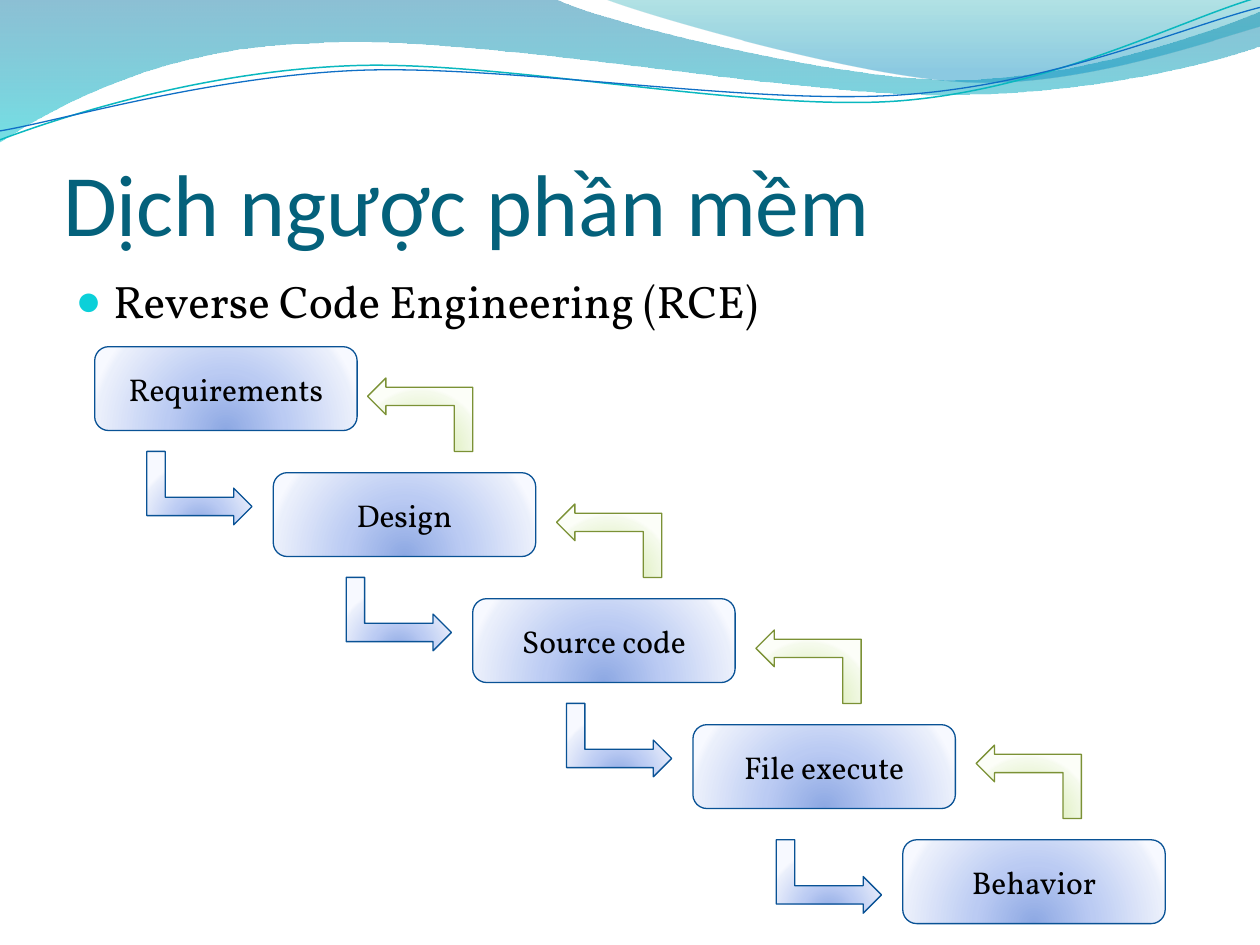
from dataclasses import dataclass
from itertools import pairwise

from lxml import etree
from pptx import Presentation
from pptx import util as u
from pptx.dml.color import RGBColor
from pptx.enum import shapes, text
from pptx.oxml.ns import nsdecls, qn

Point = tuple[float, float]


@dataclass(frozen=True)
class Stop:
    position: int
    color: str
    opacity: int = 100


@dataclass(frozen=True)
class Palette:
    line: str
    stops: tuple[Stop, ...]


@dataclass(frozen=True)
class Theme:
    heading_font: str = "Calibri"
    body_font: str = "Vollkorn"
    title_size: int = 50
    body_size: int = 26
    box_size: int = 18
    title: str = "04617B"
    body: str = "000000"
    bullet: str = "0BD0D9"
    forward: Palette = Palette("095295", (
        Stop(0, "8DA8E3"), Stop(43, "BBCBF3"), Stop(93, "EAEFFB"), Stop(100, "F7F9FF")))
    backward: Palette = Palette("7B9135", (
        Stop(0, "C9DF97"), Stop(43, "E0F0C1"), Stop(93, "F5FAEC"), Stop(100, "FCFEF8")))


@dataclass(frozen=True)
class Wave:
    """Outline in cm: a segment holds one point (line) or three (Bézier curve)."""
    start: Point
    segments: tuple[tuple[Point, ...], ...]
    stops: tuple[Stop, ...] = ()
    line: str = ""
    width: float = 0
    rotation: float = 0


@dataclass(frozen=True)
class Step:
    name: str
    left: float
    top: float
    forward_drop: float = 1.79
    backward_shift: float = 6.03


THEME = Theme()
BOX_WIDTH, BOX_HEIGHT = 5.29, 1.69
ARROW_WIDTH, ARROW_HEIGHT = 1.48, 2.12
ARROW_OFFSET = 2.23
LINEAR = '<a:lin ang="5400000" scaled="1"/>'
RADIAL = '<a:path path="circle"><a:fillToRect l="50000" t="130000" r="50000" b="-30000"/></a:path>'

STEPS = (
    Step("Requirements", 1.91, 6.99, backward_shift=5.82),
    Step("Design", 5.51, 9.53),
    Step("Source code", 9.53, 12.07),
    Step("File execute", 13.97, 14.61, forward_drop=2),
    Step("Behavior", 18.2, 16.93),
)

WAVES = (
    Wave((0, 0), (
        ((11.18, -0.03),),
        ((12.09, 0.43), (16.87, 1.6), (19.25, 1.6)),
        ((21.67, 1.6), (24.33, 0.66), (25.4, 0.23)),
        ((25.43, 0.91),),
        ((24.97, 1.12), (22.1, 1.93), (18.95, 1.91)),
        ((15.8, 1.91), (9.7, 0.71), (6.53, 0.86)),
        ((3.28, 0.91), (1.17, 2.11), (-0.03, 2.87)),
        ((0, 0),),
    ), stops=(Stop(0, "0074A1", 45), Stop(100, "00C6CF", 55))),
    Wave((12.17, -0.03), (
        ((12.93, 0.28), (17.32, 1.57), (19.53, 1.65)),
        ((21.74, 1.75), (24.41, 0.81), (25.4, 0.53)),
        ((25.4, 0),),
        ((12.17, -0.03),),
    ), stops=(Stop(0, "00A1A9", 30), Stop(80, "008BBF", 45))),
    Wave((-0.05, 2.22), (
        ((1.19, 1.82), (4.02, 1.04), (7.05, 1.06)),
        ((10.05, 1.07), (15.02, 2.37), (18.08, 2.29)),
        ((21.13, 2.2), (23.87, 0.91), (25.41, 0.55)),
    ), line="0AB8BF", width=0.85, rotation=357.3),
    Wave((-0.04, 2.04), (
        ((1.16, 1.9), (4.18, 1.15), (7.2, 1.16)),
        ((10.25, 1.18), (15.13, 2.25), (18.18, 2.17)),
        ((21.21, 2.1), (23.93, 1.06), (25.45, 0.75)),
    ), line="0F6FC6", width=0.75, rotation=357.3),
)


def set_gradient(shape, stops: tuple[Stop, ...], direction: str) -> None:
    stop_xml = "".join(
        f'<a:gs pos="{stop.position * 1000}"><a:srgbClr val="{stop.color}">'
        f'<a:alpha val="{stop.opacity * 1000}"/></a:srgbClr></a:gs>' for stop in stops)
    gradient = etree.fromstring(
        f'<a:gradFill {nsdecls("a")} rotWithShape="1"><a:gsLst>{stop_xml}</a:gsLst>'
        f'{direction}</a:gradFill>')
    shape.fill.background()
    properties = shape.element.spPr
    properties.replace(properties.find(qn("a:noFill")), gradient)


def set_line(shape, color: str, width: float) -> None:
    shape.line.color.rgb = RGBColor.from_string(color)
    shape.line.width = u.Pt(width)


def add_run(paragraph, content: str, font: str, size: int, color: str) -> None:
    run = paragraph.add_run()
    run.text = content
    run.font.name = font
    run.font.size = u.Pt(size)
    run.font.color.rgb = RGBColor.from_string(color)


def bend_segments(shape, segments: tuple[tuple[Point, ...], ...]) -> None:
    """Join each three straight lines of a curved segment into one Bézier curve."""
    lines = iter(list(shape.element.iter(qn("a:lnTo"))))
    for segment in segments:
        group = [next(lines) for _ in segment]
        if len(group) == 3:
            curve = etree.Element(qn("a:cubicBezTo"))
            group[0].addprevious(curve)
            for line in group:
                curve.append(line[0])
                line.getparent().remove(line)


def add_wave(slide, wave: Wave, layer: int) -> None:
    builder = slide.shapes.build_freeform(u.Cm(wave.start[0]), u.Cm(wave.start[1]))
    points = [(u.Cm(x), u.Cm(y)) for segment in wave.segments for x, y in segment]
    builder.add_line_segments(points, close=bool(wave.stops))
    shape = builder.convert_to_shape()
    bend_segments(shape, wave.segments)
    shape.rotation = wave.rotation
    shape.shadow.inherit = False
    if wave.stops:
        set_gradient(shape, wave.stops, LINEAR)
        shape.line.fill.background()
    else:
        shape.fill.background()
        set_line(shape, wave.line, wave.width)
    # The first two children of the shape tree hold its properties.
    slide.shapes.element.insert(2 + layer, shape.element)


def add_glossy_shape(slide, kind, left: float, top: float, width: float, height: float,
                     palette: Palette):
    shape = slide.shapes.add_shape(kind, u.Cm(left), u.Cm(top), u.Cm(width), u.Cm(height))
    shape.shadow.inherit = False
    set_gradient(shape, palette.stops, RADIAL)
    set_line(shape, palette.line, 0.75)
    return shape


def add_step(slide, step: Step) -> None:
    box = add_glossy_shape(slide, shapes.MSO_SHAPE.ROUNDED_RECTANGLE, step.left, step.top,
                           BOX_WIDTH, BOX_HEIGHT, THEME.forward)
    box.text_frame.vertical_anchor = text.MSO_ANCHOR.MIDDLE
    paragraph = box.text_frame.paragraphs[0]
    paragraph.alignment = text.PP_ALIGN.CENTER
    add_run(paragraph, step.name, THEME.body_font, THEME.box_size, THEME.body)


def add_arrow(slide, left: float, top: float, rotation: int, palette: Palette) -> None:
    arrow = add_glossy_shape(slide, shapes.MSO_SHAPE.BENT_UP_ARROW, left, top,
                             ARROW_WIDTH, ARROW_HEIGHT, palette)
    arrow.rotation = rotation


def place(placeholder, left: float, top: float, width: float, height: float):
    placeholder.left, placeholder.top = u.Cm(left), u.Cm(top)
    placeholder.width, placeholder.height = u.Cm(width), u.Cm(height)
    frame = placeholder.text_frame
    frame.auto_size = text.MSO_AUTO_SIZE.NONE
    return frame


def fill_title(slide) -> None:
    frame = place(slide.shapes.title, 1.27, 1.95, 22.86, 3.18)
    frame.margin_left = frame.margin_right = frame.margin_bottom = 0
    frame.vertical_anchor = text.MSO_ANCHOR.BOTTOM
    paragraph = frame.paragraphs[0]
    paragraph.alignment = text.PP_ALIGN.LEFT
    add_run(paragraph, "Dịch ngược phần mềm", THEME.heading_font, THEME.title_size, THEME.title)


def fill_body(slide) -> None:
    paragraph = place(slide.placeholders[1], 1.27, 5.38, 22.86, 12.19).paragraphs[0]
    add_run(paragraph, "Reverse Code Engineering (RCE)", THEME.body_font, THEME.body_size, THEME.body)
    properties = paragraph._p.get_or_add_pPr()
    properties.set("marL", str(u.Cm(0.76)))
    properties.set("indent", str(u.Cm(-0.76)))
    color = etree.SubElement(properties, qn("a:buClr"))
    etree.SubElement(color, qn("a:srgbClr"), val=THEME.bullet)
    etree.SubElement(properties, qn("a:buSzPct"), val="95000")
    etree.SubElement(properties, qn("a:buChar"), char="●")


def main() -> None:
    presentation = Presentation()
    presentation.slide_width, presentation.slide_height = u.Cm(25.4), u.Cm(19.05)
    slide = presentation.slides.add_slide(presentation.slide_layouts[1])
    for layer, wave in enumerate(WAVES):
        add_wave(slide, wave, layer)
    fill_title(slide)
    fill_body(slide)
    for step in STEPS:
        add_step(slide, step)
    for step, following in pairwise(STEPS):
        add_arrow(slide, following.left - ARROW_OFFSET, step.top + step.forward_drop, 90, THEME.forward)
        add_arrow(slide, step.left + step.backward_shift, following.top - ARROW_OFFSET, 270, THEME.backward)
    presentation.save("out.pptx")


if __name__ == "__main__":
    main()
